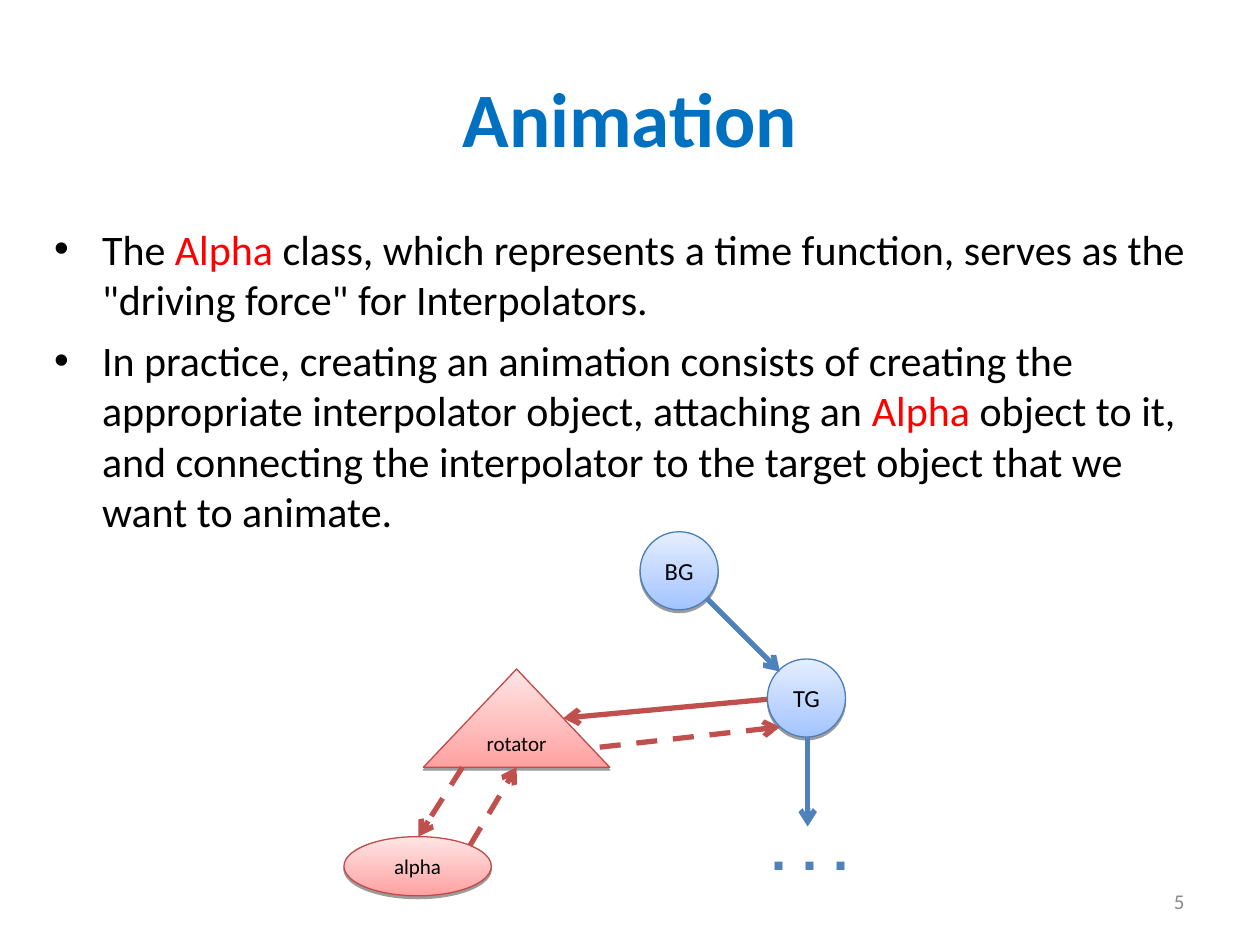
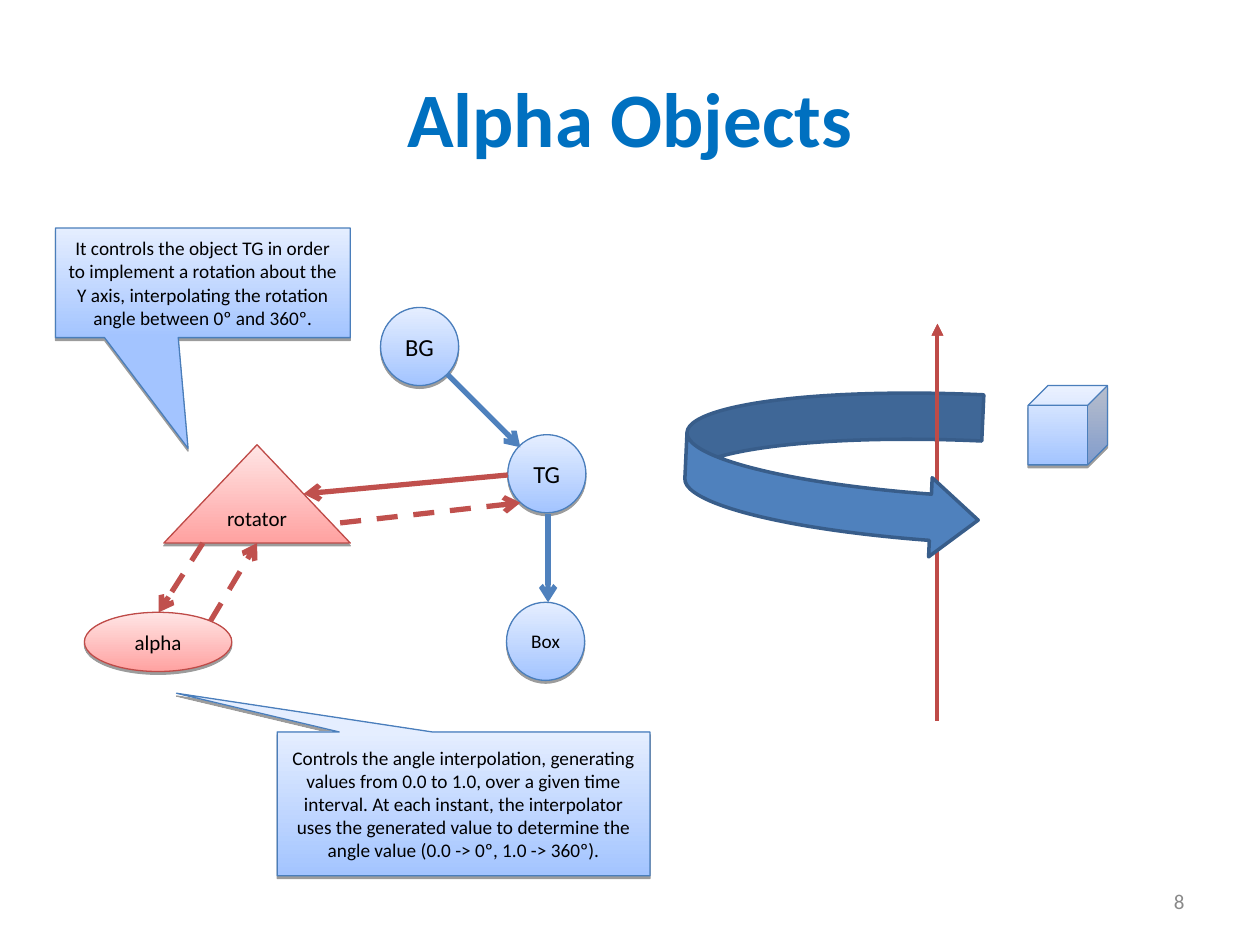
from lxml.etree import SubElement
from pptx import Presentation
from pptx.dml.color import RGBColor
from pptx.enum.dml import MSO_LINE
from pptx.enum.shapes import MSO_CONNECTOR, MSO_SHAPE
from pptx.enum.text import MSO_ANCHOR, MSO_AUTO_SIZE, PP_ALIGN
from pptx.oxml.ns import qn
from pptx.util import Inches, Pt

HUES = {
    "title": "0070C0", "text": "000000", "key": "FF0000", "page": "898989",
    "blue": "4F81BD", "red": "C0504D", "axis": "BE4B48", "rim": "385D8A",
}
# Bottom colour, top colour and outline of each kind of node
TONES = {
    "blue": ("A3C4FF", "E5EEFF", "4A7EBB"),
    "red": ("FFA2A1", "FFE5E5", "BE4B48"),
}
FONT = "Calibri"
DISC = 0.62
# Origin of the node diagram on each slide
HOME_ONE = (2.73, 4.22)
HOME_TWO = (0.67, 2.44)

POINTS = [
    [("The ", "text"), ("Alpha", "key"),
     (' class, which represents a time function, serves as the "driving force" '
      "for Interpolators.", "text")],
    [("In practice, creating an animation consists of creating the appropriate "
      "interpolator object, attaching an ", "text"), ("Alpha ", "key"),
     ("object to it, and connecting the interpolator to the target object that "
      "we want to animate.", "text")],
]
TURN_NOTE = ("It controls the object TG in order to implement a rotation about the "
             "Y axis, interpolating the rotation angle between 0º and 360º.")
ALPHA_NOTE = ("Controls the angle interpolation, generating values from 0.0 to 1.0, "
              "over a given time interval. At each instant, the interpolator uses "
              "the generated value to determine the angle value "
              "(0.0 -> 0º, 1.0 -> 360º).")


def hue(code):
    return RGBColor.from_string(code)


def inch(*sizes):
    return [Inches(size) for size in sizes]


def style(para, size, color, bold=False, align=None, font=FONT):
    para.font.name = font
    para.font.size = Pt(size)
    para.font.bold = bold
    para.font.color.rgb = hue(color)
    para.alignment = align


def start(deck, layout, title, page):
    """Add a slide with its title and page number."""
    slide = deck.slides.add_slide(deck.slide_layouts[layout])
    head = slide.shapes.title
    head.left, head.top, head.width, head.height = inch(0.5, 0.3, 9, 1.25)
    head.text_frame.text = title
    head.text_frame.vertical_anchor = MSO_ANCHOR.MIDDLE
    style(head.text_frame.paragraphs[0], 44, HUES["title"], True, PP_ALIGN.CENTER)
    label(slide, (7.17, 6.95, 2.33, 0.4), str(page), 12, HUES["page"],
          align=PP_ALIGN.RIGHT)
    return slide


def label(slide, box, text, size, color, **look):
    frame = slide.shapes.add_textbox(*inch(*box)).text_frame
    frame.text = text
    frame.vertical_anchor = MSO_ANCHOR.MIDDLE
    style(frame.paragraphs[0], size, color, **look)


def bullets(slide, box, items):
    body = slide.placeholders[1]
    body.left, body.top, body.width, body.height = inch(*box)
    frame = body.text_frame
    frame.auto_size = MSO_AUTO_SIZE.NONE
    for index, item in enumerate(items):
        para = frame.paragraphs[0] if index == 0 else frame.add_paragraph()
        props = para._p.get_or_add_pPr()
        props.set("marL", str(Inches(0.38)))
        props.set("indent", str(Inches(-0.38)))
        SubElement(props, qn("a:buFont"), typeface="Arial")
        SubElement(props, qn("a:buChar"), char="•")
        para.space_before = Pt(6 if index else 0)
        style(para, 24, HUES["text"])
        for text, color in item:
            run = para.add_run()
            run.text = text
            run.font.color.rgb = hue(HUES[color])


def shade(shape):
    """Drop a short soft-black shadow straight down."""
    effects = shape._element.spPr.find(qn("a:effectLst"))
    drop = SubElement(effects, qn("a:outerShdw"), blurRad="0", dist=str(Pt(1.6)),
                      dir="5400000", rotWithShape="0")
    tint = SubElement(drop, qn("a:srgbClr"), val="000000")
    SubElement(tint, qn("a:alpha"), val="38000")


def node(slide, kind, box, tone, text="", size=12, adjust=()):
    """Add a shaded shape with a vertical gradient and centred text."""
    shape = slide.shapes.add_shape(kind, *inch(*box))
    low, high, edge = TONES[tone]
    shape.shadow.inherit = False
    shape.fill.gradient()
    shape.fill.gradient_angle = 90
    for stop, color in zip(shape.fill.gradient_stops, (low, high)):
        stop.color.rgb = hue(color)
    shape.line.color.rgb = hue(edge)
    shape.line.width = Pt(0.75)
    shade(shape)
    for index, value in enumerate(adjust):
        shape.adjustments[index] = value
    if text:
        frame = shape.text_frame
        frame.text = text
        frame.word_wrap = True
        frame.vertical_anchor = MSO_ANCHOR.MIDDLE
        style(frame.paragraphs[0], size, HUES["text"], align=PP_ALIGN.CENTER)


def arrow(slide, tail, tip, color, dash=False, width=3, head="arrow"):
    link = slide.shapes.add_connector(MSO_CONNECTOR.STRAIGHT, *inch(*tail, *tip))
    link.line.color.rgb = hue(HUES[color])
    link.line.width = Pt(width)
    if dash:
        link.line.dash_style = MSO_LINE.DASH
    SubElement(link.line._get_or_add_ln(), qn("a:tailEnd"), type=head)
    SubElement(link._element.spPr, qn("a:effectLst"))


def graph(slide, home):
    """Draw the scene nodes and their links from the given origin."""
    def move(x, y):
        return home[0] + x, home[1] + y

    for kind, place, size, tone, text, points in (
        (MSO_SHAPE.ISOSCELES_TRIANGLE, (0.63, 1.09), (1.48, 0.78), "red", "rotator", 12),
        (MSO_SHAPE.OVAL, (2.35, 0), (DISC, DISC), "blue", "BG", 14),
        (MSO_SHAPE.OVAL, (3.36, 1.01), (DISC, DISC), "blue", "TG", 14),
        (MSO_SHAPE.OVAL, (0, 2.42), (1.17, 0.47), "red", "alpha", 12),
    ):
        node(slide, kind, move(*place) + size, tone, text, points)
    for tail, tip, color, dash in (
        ((3.36, 1.33), (1.74, 1.48), "red", False),
        ((2.03, 1.71), (3.46, 1.55), "red", True),
        ((0.94, 1.87), (0.59, 2.42), "red", True),
        ((2.88, 0.53), (3.46, 1.11), "blue", False),
        ((3.68, 1.64), (3.68, 2.34), "blue", False),
        ((1, 2.49), (1.37, 1.87), "red", True),
    ):
        arrow(slide, move(*tail), move(*tip), color, dash)


def axis(slide, foot):
    arrow(slide, (7.44, foot), (7.44, 2.57), "axis", width=2.25, head="triangle")


def swirl(slide, box):
    """Draw the band that turns about the axis."""
    band = slide.shapes.add_shape(MSO_SHAPE.CURVED_RIGHT_ARROW, *inch(*box))
    band.rotation = 2.6
    for index, value in enumerate((0.28, 0.48, 0.29)):
        band.adjustments[index] = value
    band.shadow.inherit = False
    band.fill.solid()
    band.fill.fore_color.rgb = hue(HUES["blue"])
    band.line.color.rgb = hue(HUES["rim"])
    band.line.width = Pt(2)


def main():
    deck = Presentation()
    deck.slide_width, deck.slide_height = inch(10, 7.5)

    slide = start(deck, 1, "Animation", 5)
    graph(slide, HOME_ONE)
    label(slide, (6.02, 6.41, 0.82, 0.64), ". . .", 32, HUES["blue"],
          bold=True, font="Arial")
    bullets(slide, (0.33, 1.72, 9.42, 5.2), POINTS)

    slide = start(deck, 5, "Alpha Objects", 8)
    graph(slide, HOME_TWO)
    axis(slide, 5.72)
    node(slide, MSO_SHAPE.CUBE, (8.16, 3.06, 0.63, 0.63), "blue")
    swirl(slide, (5.44, 3.08, 2.34, 1.31))
    axis(slide, 3.69)
    node(slide, MSO_SHAPE.OVAL, (4.02, 4.78, DISC, DISC), "blue", "Box", 11)
    for box, text, tip in (
        ((0.44, 1.81, 2.34, 0.87), TURN_NOTE, (-0.05, 1.51)),
        ((2.2, 5.81, 2.96, 1.14), ALPHA_NOTE, (-0.77, -0.77)),
    ):
        node(slide, MSO_SHAPE.RECTANGULAR_CALLOUT, box, "blue", text, 11, tip)

    deck.save("out.pptx")


if __name__ == "__main__":
    main()
